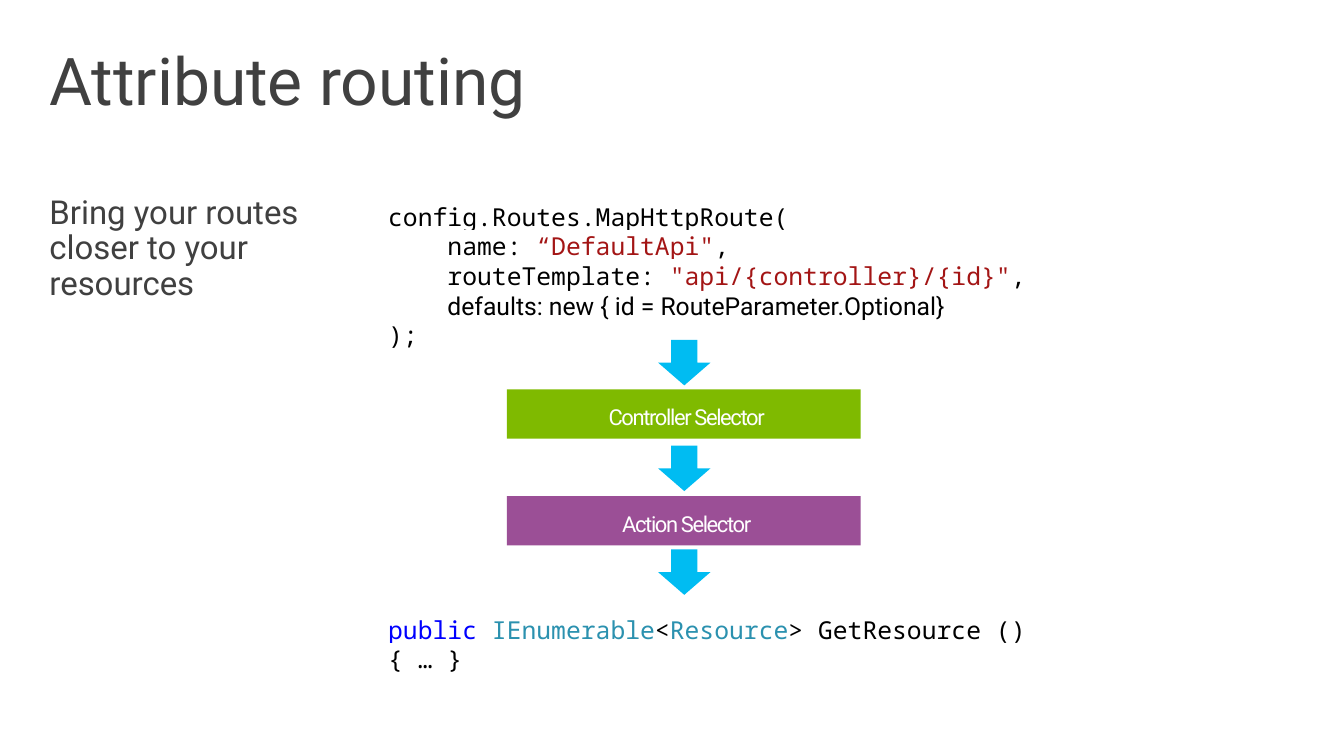
from dataclasses import dataclass

from lxml.etree import SubElement
from pptx import Presentation
from pptx.dml.color import RGBColor
from pptx.enum.shapes import MSO_SHAPE as Shape
from pptx.enum.text import MSO_ANCHOR as Anchor, MSO_AUTO_SIZE as AutoSize, PP_ALIGN as Align
from pptx.oxml.ns import qn
from pptx.util import Inches, Pt


@dataclass(frozen=True)
class Theme:
    sans: str = "Roboto"
    mono: str = "Noto Sans Mono"
    title_size: int = 48
    body_size: int = 24
    code_size: int = 18
    label_size: int = 16
    text: str = "404040"
    black: str = "000000"
    white: str = "FFFFFF"
    literal: str = "A31515"
    keyword: str = "0000FF"
    type_name: str = "2B91AF"
    green: str = "7FBA00"
    purple: str = "9B4F96"
    arrow: str = "00BCF2"


class PageBuilder:
    def __init__(self, deck, theme):
        self.theme = theme
        self.page = deck.slides.add_slide(deck.slide_layouts[1])

    def style_font(self, font, name, size, color):
        font.name, font.size = name, Pt(size)
        font.color.rgb = RGBColor.from_string(color)

    def set_insets(self, frame, left, top, right, bottom):
        frame.margin_left, frame.margin_top = Inches(left), Inches(top)
        frame.margin_right, frame.margin_bottom = Inches(right), Inches(bottom)

    def fill_placeholder(self, index, text, size, left, top, width, height):
        holder = self.page.placeholders[index]
        holder.left, holder.top = Inches(left), Inches(top)
        holder.width, holder.height = Inches(width), Inches(height)
        frame = holder.text_frame
        frame.text = text
        frame.word_wrap = True
        frame.auto_size = AutoSize.NONE
        frame.vertical_anchor = Anchor.TOP
        self.set_insets(frame, 0.2, 0.16, 0.2, 0.16)
        para = frame.paragraphs[0]
        para.alignment, para.line_spacing = Align.LEFT, 0.9
        self.style_font(para.font, self.theme.sans, size, self.theme.text)
        properties = para._p.get_or_add_pPr()
        properties.set("marL", "0")
        properties.set("indent", "0")
        SubElement(properties, qn("a:buNone")).tail = None
        # Bullet settings come before the default run properties
        properties.append(properties.find(qn("a:defRPr")))

    def add_code(self, lines, left, top, width, height):
        """Each line is (indent in inches, font, [(text, color), ...])."""
        box = self.page.shapes.add_textbox(
            Inches(left), Inches(top), Inches(width), Inches(height))
        frame = box.text_frame
        frame.word_wrap = True
        frame.auto_size = AutoSize.SHAPE_TO_FIT_TEXT
        for number, (indent, font, spans) in enumerate(lines):
            para = frame.add_paragraph() if number else frame.paragraphs[0]
            para._p.get_or_add_pPr().set("marL", str(Inches(indent)))
            for text, color in spans:
                span = para.add_run()
                span.text = text
                self.style_font(span.font, font, self.theme.code_size, color)
                if font == self.theme.mono:
                    self.highlight(span)

    def highlight(self, span):
        properties = span._r.get_or_add_rPr()
        mark = SubElement(properties, qn("a:highlight"))
        SubElement(mark, qn("a:srgbClr")).set("val", self.theme.white)
        properties.find(qn("a:solidFill")).addnext(mark)

    def add_block(self, kind, color, left, top, width, height):
        block = self.page.shapes.add_shape(
            kind, Inches(left), Inches(top), Inches(width), Inches(height))
        block.shadow.inherit = False
        block.fill.solid()
        block.fill.fore_color.rgb = RGBColor.from_string(color)
        block.line.fill.background()
        return block

    def add_stage(self, label, color, top):
        frame = self.add_block(Shape.RECTANGLE, color, 5.13, top, 3.58, 0.5).text_frame
        frame.text = label
        frame.vertical_anchor = Anchor.MIDDLE
        self.set_insets(frame, 0.1, 0.1, 0.04, 0.04)
        para = frame.paragraphs[0]
        para.alignment = Align.CENTER
        self.style_font(para.font, self.theme.sans, self.theme.label_size, self.theme.white)
        para.runs[0]._r.get_or_add_rPr().set("spc", "-100")

    def add_arrow(self, top):
        self.add_block(Shape.DOWN_ARROW, self.theme.arrow, 6.66, top, 0.53, 0.46)


def main():
    deck = Presentation()
    deck.slide_width, deck.slide_height = Inches(13.6), Inches(7.65)
    theme = Theme()
    builder = PageBuilder(deck, theme)
    mono, black = theme.mono, theme.black

    # Title and message
    builder.fill_placeholder(0, "Attribute routing", theme.title_size, 0.3, 0.33, 13, 1)
    builder.fill_placeholder(1, "Bring your routes closer to your resources",
                             theme.body_size, 0.3, 1.82, 3, 5.5)

    # Route definition
    builder.add_code([
        (0, mono, [("config.Routes.MapHttpRoute(", black)]),
        (0.6, mono, [("name: ", black), ("“DefaultApi\"", theme.literal), (",", black)]),
        (0.6, mono, [("routeTemplate: ", black),
                     ("\"api/{controller}/{id}\"", theme.literal), (",", black)]),
        (0.6, theme.sans, [("defaults: new { id = RouteParameter.Optional}", black)]),
        (0, mono, [(");", black)]),
    ], 3.83, 1.99, 9.47, 1.62)

    # Selector stages
    builder.add_stage("Controller Selector", theme.green, 3.94)
    builder.add_stage("Action Selector", theme.purple, 5.02)

    # Resulting action
    builder.add_code([
        (0, mono, [("public", theme.keyword), (" ", black),
                   ("IEnumerable", theme.type_name), ("<", black),
                   ("Resource", theme.type_name), ("> GetResource () { … }", black)]),
    ], 3.83, 6.17, 7.23, 0.4)

    # Flow arrows
    for top in (3.44, 4.51, 5.56):
        builder.add_arrow(top)

    deck.save("out.pptx")


if __name__ == "__main__":
    main()
